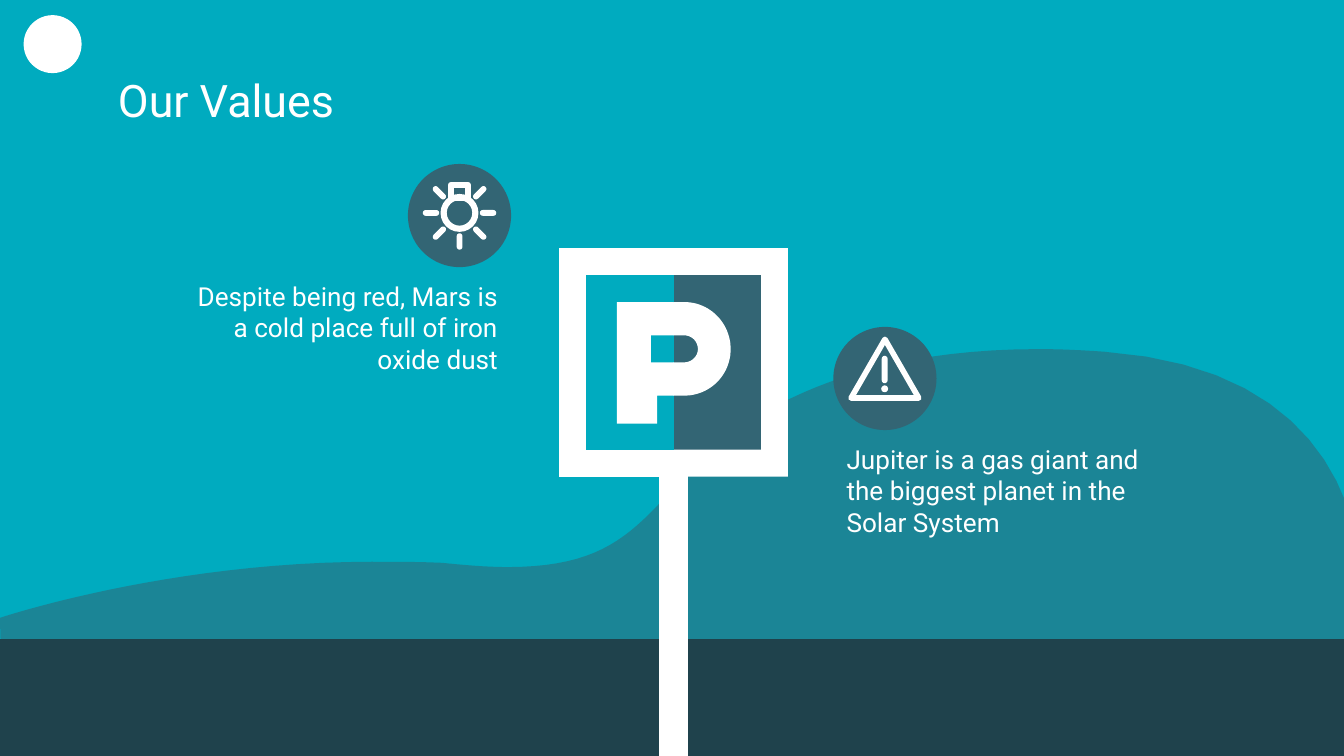
from dataclasses import dataclass
from math import cos, radians, sin

from lxml.etree import SubElement
from pptx import Presentation
from pptx.dml.color import RGBColor
from pptx.enum.shapes import MSO_SHAPE
from pptx.enum.text import MSO_ANCHOR, PP_ALIGN
from pptx.oxml.ns import qn
from pptx.util import Cm, Pt


@dataclass(frozen=True)
class Theme:
    sky: RGBColor = RGBColor.from_string("00ABBF")
    slate: RGBColor = RGBColor.from_string("336574")
    ground: RGBColor = RGBColor.from_string("1F424C")
    white: RGBColor = RGBColor.from_string("FFFFFF")
    font: str = "Roboto"
    title_size: Pt = Pt(24)
    text_size: Pt = Pt(14)
    hairline: Pt = Pt(0.75)


THEME = Theme()
WIDTH, HEIGHT = 25.4, 14.29
SIGN_X, SIGN_Y = 12.73, 6.85
BADGE = 1.95
TEXT_WIDTH, TEXT_HEIGHT = 6.43, 2.69


def paint(shape, color, edge=None):
    shape.shadow.inherit = False
    shape.fill.solid()
    shape.fill.fore_color.rgb = color
    if edge is None:
        shape.line.fill.background()
    else:
        shape.line.color.rgb = color
        shape.line.width = edge


def add_solid(shapes, kind, left, top, width, height, color, edge=None):
    shape = shapes.add_shape(kind, Cm(left), Cm(top), Cm(width), Cm(height))
    paint(shape, color, edge)
    return shape


def add_stroked(shapes, kind, left, top, width, height, weight):
    """Add an unfilled shape with a thick white line."""
    shape = shapes.add_shape(kind, Cm(left), Cm(top), Cm(width), Cm(height))
    shape.shadow.inherit = False
    shape.fill.background()
    shape.line.color.rgb = THEME.white
    shape.line.width = Pt(weight)
    return shape


def curve_points(start, first, second, end, steps=24):
    """Sample a cubic Bezier curve, leaving out its start."""
    for step in range(1, steps + 1):
        t = step / steps
        weights = ((1 - t) ** 3, 3 * t * (1 - t) ** 2, 3 * t * t * (1 - t), t ** 3)
        yield tuple(
            sum(weight * value for weight, value in zip(weights, axis))
            for axis in zip(start, first, second, end)
        )


def add_outline(shapes, start, segments, color, origin=(0, 0)):
    """Add a closed outline; a segment holds one point (line) or three (curve)."""
    points = [start]
    for segment in segments:
        points.extend(segment if len(segment) == 1 else curve_points(points[-1], *segment))
    places = [(Cm(origin[0] + x), Cm(origin[1] + y)) for x, y in points]
    builder = shapes.build_freeform(*places[0], scale=1.0)
    builder.add_line_segments(places[1:], close=True)
    shape = builder.convert_to_shape()
    paint(shape, color)
    return shape


def add_polygon(shapes, points, color, origin):
    return add_outline(shapes, points[0], [(point,) for point in points[1:]], color, origin)


def add_landscape(shapes):
    hill = add_outline(shapes, (19.63, 6.6), [
        ((16.03, 6.6), (14.15, 7.82), (13.26, 8.69)),
        ((12.09, 9.83), (11.73, 10.72), (9.6, 10.72)),
        ((9.25, 10.72), (8.84, 10.69), (8.36, 10.64)),
        ((7.9, 10.62), (7.42, 10.62), (7.04, 10.62)),
        ((3.15, 10.62), (0, 11.68), (0, 11.68)),
        ((0.05, 13.46),),
        ((25.5, 13.67),),
        ((25.5, 13.67), (27.51, 7.14), (20.88, 6.65)),
        ((20.45, 6.62), (20.02, 6.6), (19.63, 6.6)),
    ], THEME.slate)
    color = hill.fill._xPr.find(qn("a:solidFill"))[0]
    SubElement(color, qn("a:alpha"), val="54000")
    add_solid(shapes, MSO_SHAPE.RECTANGLE, 0, 12.08, WIDTH, 2.21, THEME.ground)


def add_sign(shapes):
    origin = (SIGN_X, SIGN_Y)
    for half, tip, right_color, left_color in (
        (2.16, 1.27, THEME.white, THEME.white),
        (1.65, 1.02, THEME.slate, THEME.sky),
    ):
        add_polygon(shapes, [(0, -half), (-tip, 0), (0, half), (half, half), (half, -half)],
                    right_color, origin)
        add_polygon(shapes, [(-half, -half), (-half, half), (0, half), (0, -half)],
                    left_color, origin)
    # The bowl and the stem of the letter
    add_outline(shapes, (0, -1.14), [
        ((-0.25, -0.83),), ((0, -0.51),), ((0.2, -0.51),),
        ((0.34, -0.51), (0.46, -0.4), (0.46, -0.25)),
        ((0.46, -0.11), (0.34, 0), (0.2, 0)),
        ((0, 0),), ((-0.25, 0.31),), ((0, 0.63),), ((0.2, 0.63),),
        ((0.69, 0.63), (1.08, 0.24), (1.08, -0.25)),
        ((1.08, -0.74), (0.69, -1.14), (0.2, -1.14)),
    ], THEME.white, origin)
    add_polygon(shapes, [
        (-1.07, -1.14), (-1.07, 1.16), (-0.31, 1.16), (-0.31, 0.63), (0, 0.63),
        (0, 0), (-0.43, 0), (-0.43, -0.51), (0, -0.51), (0, -1.14),
    ], THEME.white, origin)
    add_solid(shapes, MSO_SHAPE.RECTANGLE, SIGN_X - 0.27, 8.64, 0.53, HEIGHT - 8.64,
              THEME.white, THEME.hairline)


def add_bulb(shapes, x, y):
    ring, distance, length, thickness = 0.3, 0.54, 0.31, 0.11
    add_stroked(shapes, MSO_SHAPE.OVAL, x - ring, y - ring, 2 * ring, 2 * ring, 3.3)
    add_stroked(shapes, MSO_SHAPE.RECTANGLE, x - 0.16, y - 0.53, 0.32, 0.25, 3.3)
    for angle in (0, 45, 90, 135, 180, 225, 315):
        ray = add_solid(shapes, MSO_SHAPE.ROUNDED_RECTANGLE,
                        x + distance * cos(radians(angle)) - length / 2,
                        y + distance * sin(radians(angle)) - thickness / 2,
                        length, thickness, THEME.white)
        ray.adjustments[0] = 0.5
        ray.rotation = angle


def add_warning(shapes, x, y):
    add_stroked(shapes, MSO_SHAPE.ISOSCELES_TRIANGLE, x - 0.64, y - 0.69, 1.28, 1.11, 3)
    bar = add_solid(shapes, MSO_SHAPE.ROUNDED_RECTANGLE, x - 0.06, y - 0.38, 0.11, 0.52,
                    THEME.white)
    bar.adjustments[0] = 0.5
    add_solid(shapes, MSO_SHAPE.OVAL, x - 0.07, y + 0.18, 0.13, 0.13, THEME.white)


def write(shape, text, size, align, anchor):
    frame = shape.text_frame
    frame.word_wrap = True
    frame.vertical_anchor = anchor
    frame.margin_left = frame.margin_right = Cm(0.25)
    frame.margin_top = frame.margin_bottom = Cm(0.25)
    frame.text = text
    para = frame.paragraphs[0]
    para.alignment = align
    para.font.name = THEME.font
    para.font.size = size
    para.font.color.rgb = THEME.white
    return para


def add_title(page, text):
    title = page.shapes.title
    title.left, title.top, title.width, title.height = Cm(1.98), Cm(1.09), Cm(21.44), Cm(1.6)
    write(title, text, THEME.title_size, PP_ALIGN.LEFT, MSO_ANCHOR.MIDDLE)


def add_value(page, left, top, text, align, add_icon):
    """Add a text under a badge that sits on the side the text aligns to."""
    box = page.shapes.add_textbox(Cm(left), Cm(top), Cm(TEXT_WIDTH), Cm(TEXT_HEIGHT))
    para = write(box, text, THEME.text_size, align, MSO_ANCHOR.TOP)
    para.space_after = Pt(10)
    badge_left = left + TEXT_WIDTH - BADGE if align == PP_ALIGN.RIGHT else left
    badge_top = top - BADGE
    add_solid(page.shapes, MSO_SHAPE.OVAL, badge_left, badge_top, BADGE, BADGE, THEME.slate)
    icon = page.shapes.add_group_shape()
    add_icon(icon.shapes, badge_left + BADGE / 2, badge_top + BADGE / 2 - 0.05)


def main():
    deck = Presentation()
    deck.slide_width, deck.slide_height = Cm(WIDTH), Cm(HEIGHT)
    page = deck.slides.add_slide(deck.slide_layouts[5])
    page.background.fill.solid()
    page.background.fill.fore_color.rgb = THEME.sky

    add_landscape(page.shapes)
    add_solid(page.shapes, MSO_SHAPE.OVAL, 0.46, 0.3, 1.07, 1.07, THEME.white, THEME.hairline)
    add_sign(page.shapes.add_group_shape().shapes)
    add_title(page, "Our Values")
    add_value(page, 3.23, 5.05, "Despite being red, Mars is a cold place full of iron oxide dust",
              PP_ALIGN.RIGHT, add_bulb)
    add_value(page, 15.75, 8.13,
              "Jupiter is a gas giant and the biggest planet in the Solar System",
              PP_ALIGN.LEFT, add_warning)
    deck.save("out.pptx")


if __name__ == "__main__":
    main()
